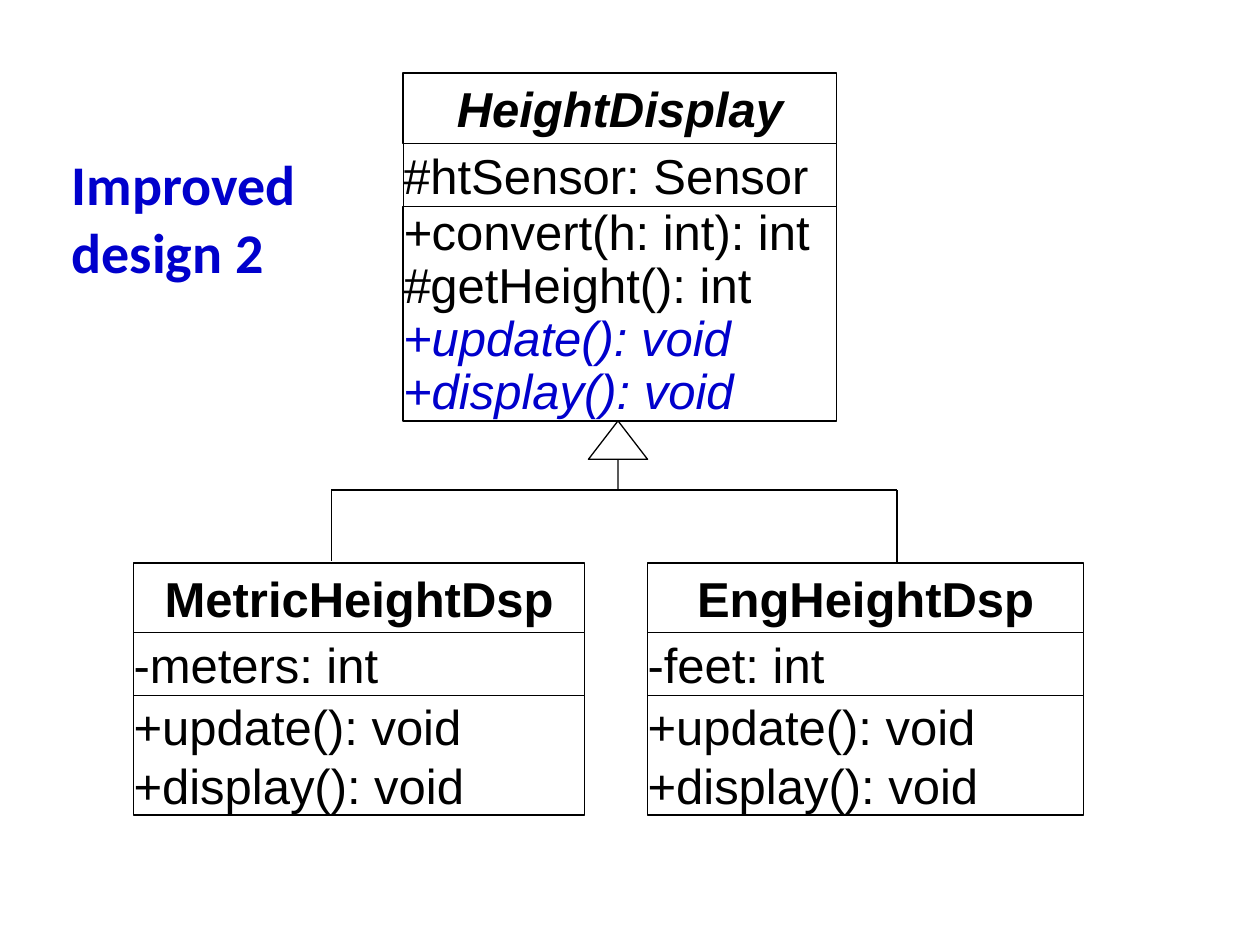
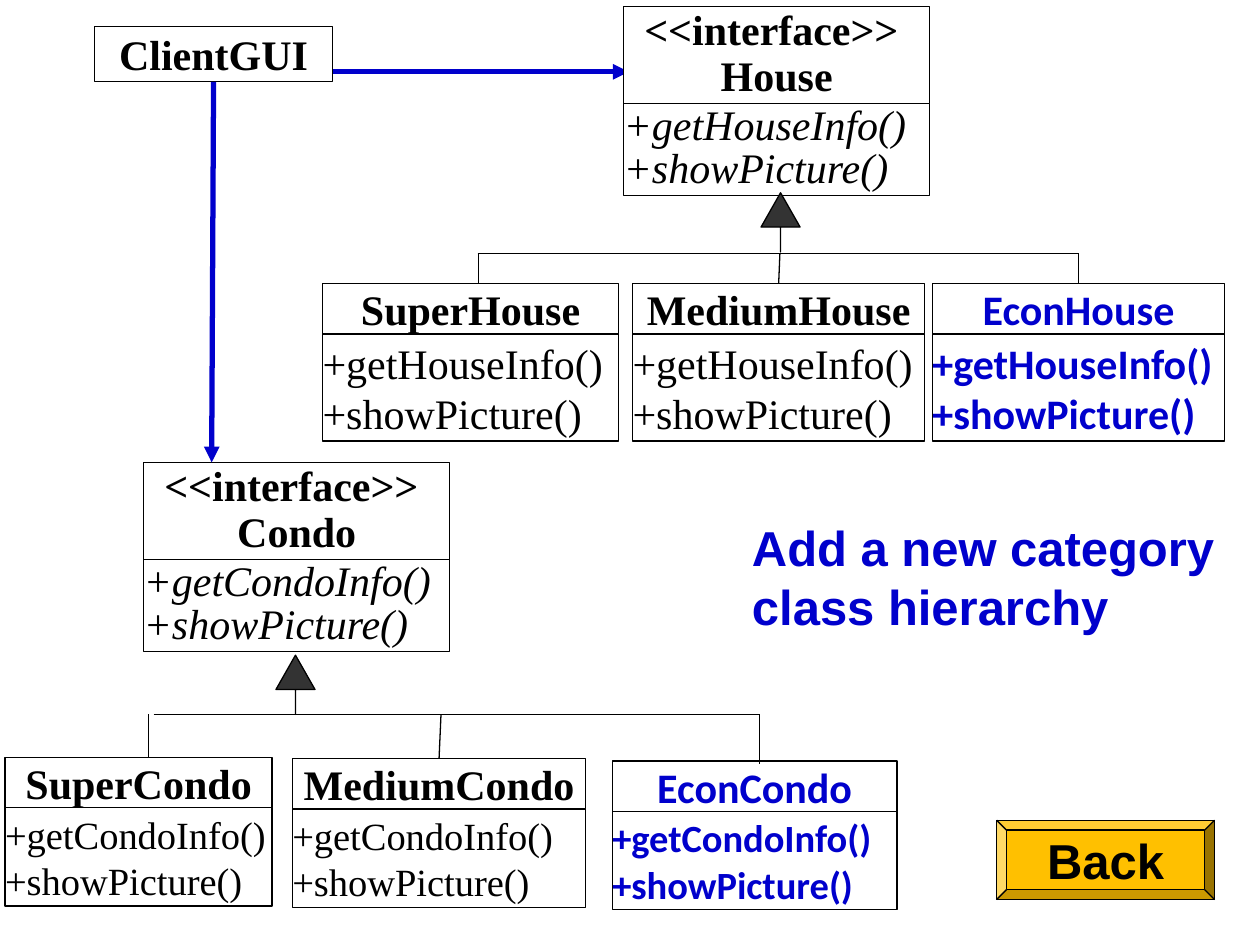
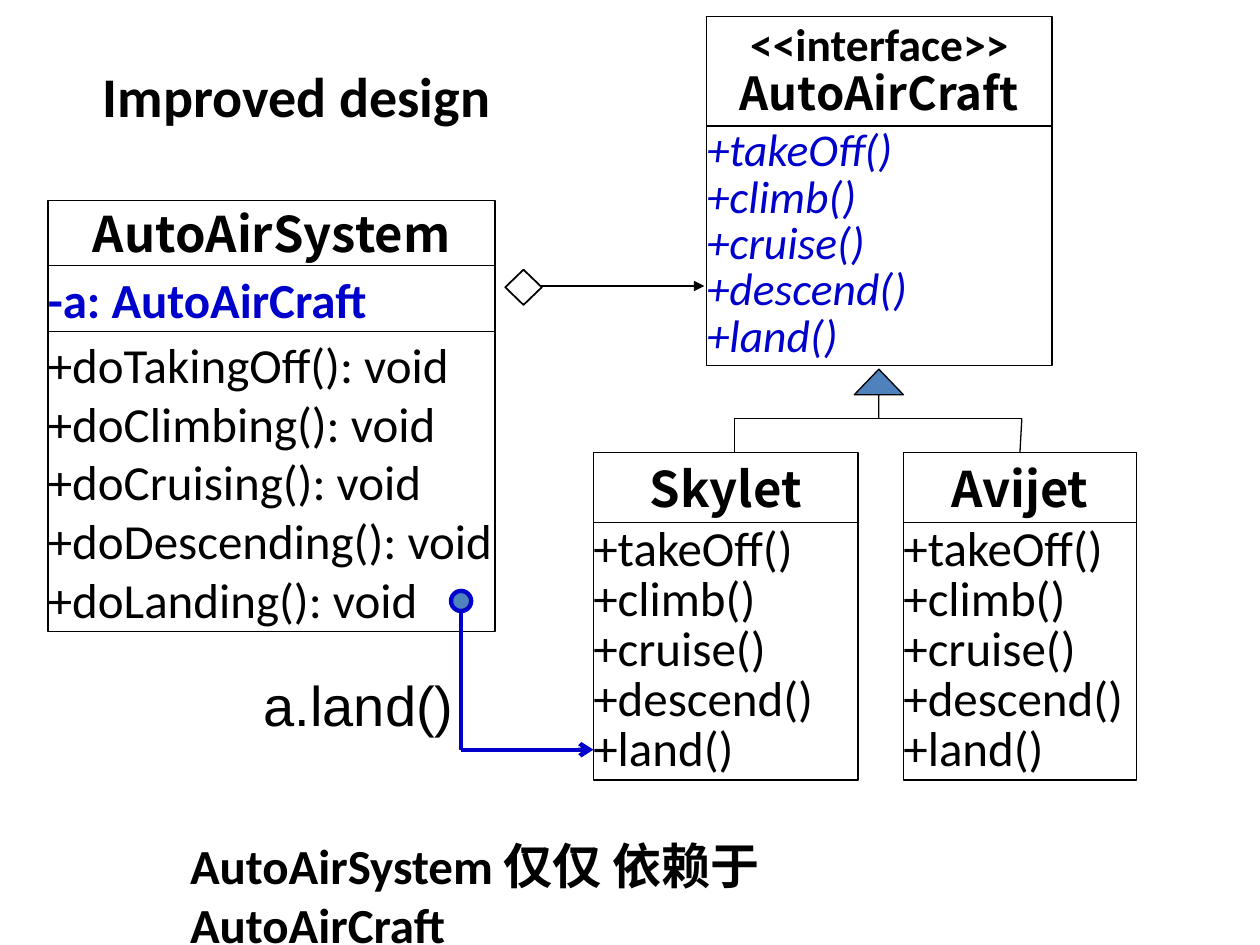
"""Build three slides of UML class diagrams."""
from dataclasses import dataclass, replace

from lxml.etree import SubElement
from pptx import Presentation
from pptx.dml.color import RGBColor
from pptx.enum.shapes import MSO_CONNECTOR, MSO_SHAPE
from pptx.enum.text import MSO_ANCHOR, PP_ALIGN
from pptx.oxml.ns import qn
from pptx.util import Inches, Pt

BLACK = RGBColor(0x00, 0x00, 0x00)
WHITE = RGBColor(0xFF, 0xFF, 0xFF)
BLUE = RGBColor(0x00, 0x00, 0xCC)
CHARCOAL = RGBColor(0x33, 0x33, 0x33)
STEEL = RGBColor(0x4F, 0x81, 0xBD)
GOLD = RGBColor(0xFF, 0xC0, 0x00)

TOP, LEFT, BOTTOM = 0, 1, 2


@dataclass(frozen=True)
class Style:
    """Describe the text and outline of a box."""
    font: str
    size: int
    color: RGBColor = BLACK
    bold: bool = False
    italic: bool = False
    align: PP_ALIGN = PP_ALIGN.LEFT
    spacing: float = 1.0
    inset: float = 0.02
    outline: float = 0.75


ARIAL = Style("Arial", 28, inset=0, outline=1)
ARIAL_NAME = replace(ARIAL, bold=True, align=PP_ALIGN.CENTER, inset=0.03)
ARIAL_FIELD = replace(ARIAL, inset=0.01, outline=0.75)

TIMES = Style("Times New Roman", 24)
TIMES_NAME = replace(TIMES, bold=True, align=PP_ALIGN.CENTER)
TIMES_INTERFACE = replace(TIMES_NAME, spacing=0.9)
TIMES_ABSTRACT = replace(TIMES, italic=True, spacing=0.85)

CALIBRI = Style("Calibri", 28, align=PP_ALIGN.JUSTIFY)
CALIBRI_FIELD = replace(CALIBRI, color=BLUE, bold=True)
CALIBRI_TIGHT = replace(CALIBRI, spacing=0.85)
CALIBRI_ABSTRACT = replace(CALIBRI_TIGHT, size=26, color=BLUE, italic=True)
CALIBRI_INTERFACE = Style("Calibri", 26, bold=True, align=PP_ALIGN.CENTER,
                          spacing=0.9, inset=0.04)
NOTO_NAME = Style("Noto Sans CJK SC", 28, bold=True, align=PP_ALIGN.CENTER,
                  inset=0.04)


def add_page(deck):
    """Add a blank page."""
    return deck.slides.add_slide(deck.slide_layouts[6])


def write_lines(frame, lines, style):
    """Write one paragraph per line in the given style."""
    frame.word_wrap = True
    for index, line in enumerate(lines):
        para = frame.paragraphs[0] if index == 0 else frame.add_paragraph()
        para.text = line
        para.alignment = style.align
        para.line_spacing = style.spacing
        para.font.name = style.font
        para.font.size = Pt(style.size)
        para.font.bold = style.bold
        para.font.italic = style.italic
        para.font.color.rgb = style.color


def add_figure(page, kind, left, top, width, height, fill=WHITE,
               color=BLACK, outline=0.75, adjustments=()):
    """Add a preset shape with a plain outline."""
    figure = page.shapes.add_shape(kind, Inches(left), Inches(top),
                                   Inches(width), Inches(height))
    figure.shadow.inherit = False
    if fill is None:
        figure.fill.background()
    else:
        figure.fill.solid()
        figure.fill.fore_color.rgb = fill
    figure.line.color.rgb = color
    figure.line.width = Pt(outline)
    for index, value in enumerate(adjustments):
        figure.adjustments[index] = value
    return figure


def add_class(page, left, top, width, *compartments):
    """Stack (height, lines, style) compartments and return their boxes."""
    boxes = []
    for height, lines, style in compartments:
        box = add_figure(page, MSO_SHAPE.RECTANGLE, left, top, width, height,
                         outline=style.outline)
        frame = box.text_frame
        frame.margin_left = frame.margin_right = 0
        frame.margin_top = frame.margin_bottom = Inches(style.inset)
        frame.vertical_anchor = MSO_ANCHOR.MIDDLE
        write_lines(frame, lines, style)
        boxes.append(box)
        top += height
    return boxes


def add_label(page, left, top, width, height, text, style):
    """Add a free text box."""
    label = page.shapes.add_textbox(Inches(left), Inches(top),
                                    Inches(width), Inches(height))
    write_lines(label.text_frame, [text], style)


def add_line(page, start, end, color=BLACK, width=0.75, arrow=None,
             begin_at=None, end_at=None):
    """Draw a straight connector, joined to (box, side) where given."""
    line = page.shapes.add_connector(MSO_CONNECTOR.STRAIGHT,
                                     *map(Inches, (*start, *end)))
    if begin_at:
        line.begin_connect(*begin_at)
    if end_at:
        line.end_connect(*end_at)
    line.line.color.rgb = color
    line.line.width = Pt(width)
    if arrow:
        SubElement(line.line._get_or_add_ln(), qn("a:tailEnd"), type=arrow)
    SubElement(line._element.spPr, qn("a:effectLst"))


def add_generalization(page, left, top, width, height, head, fill=None):
    """Add the hollow or filled triangle with its stem."""
    add_figure(page, MSO_SHAPE.UP_ARROW, left, top, width, height, fill,
               adjustments=(0, head))


def build_height_page(deck):
    """Show the height display hierarchy."""
    page = add_page(deck)
    name, _, methods = add_class(
        page, 3.2, 0.58, 3.44,
        (0.56, ["HeightDisplay"], replace(ARIAL_NAME, italic=True)),
        (0.5, ["#htSensor: Sensor"], ARIAL_FIELD),
        (1.7, ["", "", "+update(): void", "+display(): void"],
         replace(ARIAL, color=BLUE, italic=True, spacing=0.9)))
    signatures = [("+", "convert(h: int): int"), ("#", "getHeight(): int")]
    for para, signature in zip(methods.text_frame.paragraphs, signatures):
        para.font.color.rgb = BLACK
        for text, italic in zip(signature, (True, False)):
            span = para.add_run()
            span.text = text
            span.font.italic = italic

    for left, top, width, title, field in [
            (1.06, 4.47, 3.58, "MetricHeightDsp", "-meters: int"),
            (5.14, 4.47, 3.46, "EngHeightDsp", "-feet: int")]:
        add_class(page, left, top, width,
                  (0.55, [title], ARIAL_NAME),
                  (0.5, [field], ARIAL_FIELD),
                  (0.95, ["+update(): void", "+display(): void"], ARIAL))
    add_line(page, (2.63, 3.89), (7.12, 3.89))
    add_line(page, (2.63, 3.89), (2.63, 4.45))
    add_line(page, (7.12, 3.89), (7.12, 4.47))
    add_generalization(page, 4.67, 3.34, 0.47, 0.55, 0.65)
    add_label(page, 0.47, 1.14, 2.14, 1.17, "Improved design 2",
              Style("Calibri", 32, BLUE, bold=True))


def add_building(page, kind, left, top, width, size, grade):
    """Add one graded building class, new ones in blue."""
    name, methods = TIMES_NAME, replace(TIMES, size=size)
    if grade == "Econ":
        name = replace(name, font="Calibri", color=BLUE)
        methods = replace(methods, font="Calibri", color=BLUE, bold=True)
    height = 0.85 if size == 24 else 0.78
    lines = [f"+get{kind}Info()", "+showPicture()"]
    return add_class(page, left, top, width,
                     (0.4, [grade + kind], name), (height, lines, methods))[0]


def add_interface(page, kind, left, top):
    """Add a building interface with its triangle offset left to callers."""
    add_class(page, left, top, 2.43,
              (0.77, ["<<interface>> ", kind], TIMES_INTERFACE),
              (0.73, [f"+get{kind}Info()", "+showPicture()"], TIMES_ABSTRACT))


def build_housing_page(deck):
    """Show the house and condo hierarchies used by the client."""
    page = add_page(deck)
    add_line(page, (2.56, 0.57), (4.99, 0.57), BLUE, 3, "triangle")
    client, = add_class(page, 0.75, 0.21, 1.89,
                        (0.44, ["ClientGUI"], TIMES_NAME))
    add_interface(page, "House", 4.95, 0.05)
    add_interface(page, "Condo", 1.14, 3.67)
    add_line(page, (1.69, 0.65), (1.68, 3.67), BLUE, 3, "triangle",
             begin_at=(client, BOTTOM))

    add_building(page, "House", 2.56, 2.25, 2.35, 24, "Super")
    medium_house = add_building(page, "House", 5.02, 2.25, 2.32, 24, "Medium")
    econ_house = add_building(page, "House", 7.4, 2.25, 2.32, 24, "Econ")
    add_line(page, (3.79, 2.01), (8.56, 2.01))
    add_line(page, (3.8, 2.01), (3.8, 2.25))
    add_line(page, (6.19, 2.01), (6.19, 2.25), end_at=(medium_house, TOP))
    add_line(page, (8.56, 2.01), (8.56, 2.25), end_at=(econ_house, TOP))
    add_generalization(page, 6.04, 1.53, 0.31, 0.47, 0.88, CHARCOAL)

    add_building(page, "Condo", 0.04, 6.01, 2.12, 22, "Super")
    medium_condo = add_building(page, "Condo", 2.32, 6.02, 2.33, 22, "Medium")
    add_building(page, "Condo", 4.86, 6.04, 2.26, 22, "Econ")
    add_line(page, (1.22, 5.67), (6.03, 5.67))
    add_line(page, (1.18, 5.67), (1.18, 6.02))
    add_line(page, (3.5, 5.67), (3.5, 6.02), end_at=(medium_condo, TOP))
    add_line(page, (6.03, 5.67), (6.03, 6.06))
    add_generalization(page, 2.19, 5.2, 0.31, 0.47, 0.88, CHARCOAL)

    caption = Style("Arial", 28, BLUE, bold=True)
    add_label(page, 5.87, 4.06, 3.94, 1.03,
              "Add a new category class hierarchy", caption)
    button = add_figure(page, MSO_SHAPE.BEVEL, 7.91, 6.51, 1.73, 0.63, GOLD,
                        adjustments=(0.125,))
    button.text_frame.vertical_anchor = MSO_ANCHOR.MIDDLE
    write_lines(button.text_frame, ["Back"], ARIAL_NAME)
    button.text_frame.word_wrap = False


def build_aircraft_page(deck):
    """Show the aircraft system that depends on one interface."""
    page = add_page(deck)
    heading = Style("Calibri", 32, bold=True, align=PP_ALIGN.CENTER)
    add_label(page, 0.43, 0.44, 3.95, 0.66, "Improved design ", heading)
    tasks = ["TakingOff", "Climbing", "Cruising", "Descending", "Landing"]
    add_class(page, 0.38, 1.59, 3.55,
              (0.52, ["AutoAirSystem"], NOTO_NAME),
              (0.52, ["-a: AutoAirCraft"], CALIBRI_FIELD),
              (2.38, [f"+do{task}(): void" for task in tasks], CALIBRI))
    add_line(page, (4.03, 2.27), (5.59, 2.27), width=1, arrow="triangle")
    add_figure(page, MSO_SHAPE.DIAMOND, 4.01, 2.14, 0.29, 0.28, outline=1)

    actions = ["+takeOff()", "+climb()", "+cruise()", "+descend()", "+land()"]
    interface, _ = add_class(
        page, 5.61, 0.13, 2.74,
        (0.87, ["<<interface>>", "AutoAirCraft"], CALIBRI_INTERFACE),
        (1.9, actions, CALIBRI_ABSTRACT))
    interface.text_frame.paragraphs[1].font.name = NOTO_NAME.font
    _, second = [
        add_class(page, left, 3.59, width, (0.56, [maker], NOTO_NAME),
                  (2.04, actions, CALIBRI_TIGHT))[0]
        for left, width, maker in [(4.71, 2.1, "Skylet"),
                                   (7.17, 1.85, "Avijet")]]
    add_line(page, (5.83, 3.32), (8.11, 3.32))
    add_line(page, (5.83, 3.32), (5.83, 3.59))
    add_line(page, (8.11, 3.32), (8.11, 3.59), end_at=(second, TOP))
    add_generalization(page, 6.78, 2.93, 0.39, 0.39, 0.52, STEEL)

    add_label(page, 1.41, 6.58, 6.82, 0.57,
              "AutoAirSystem 仅仅 依赖于\vAutoAirCraft",
              Style("Calibri", 28, bold=True))
    add_figure(page, MSO_SHAPE.OVAL, 3.58, 4.69, 0.16, 0.16, STEEL, BLUE, 2.5)
    add_line(page, (3.66, 4.85), (3.66, 5.95), BLUE, 2.5)
    add_line(page, (3.66, 5.95), (4.71, 5.95), BLUE, 2.5, "arrow")
    add_label(page, 1.97, 5.27, 1.73, 0.64, "a.land()",
              Style("Arial", 32, align=PP_ALIGN.RIGHT))


def main():
    """Build and save the deck."""
    deck = Presentation()
    deck.slide_width, deck.slide_height = Inches(10), Inches(7.5)
    build_height_page(deck)
    build_housing_page(deck)
    build_aircraft_page(deck)
    deck.save("out.pptx")


if __name__ == "__main__":
    main()
